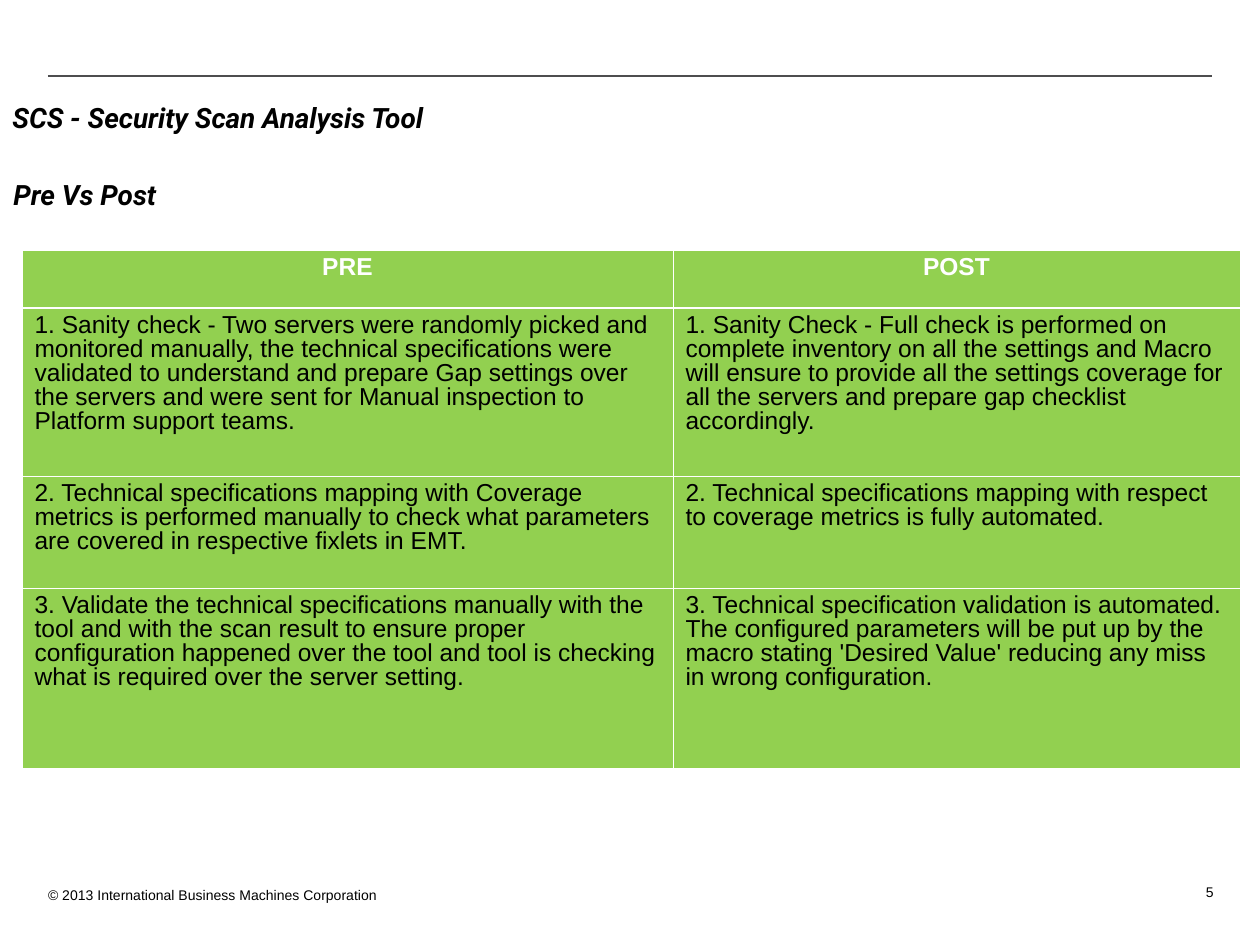
from lxml import etree
from pptx import Presentation
from pptx.dml.color import RGBColor
from pptx.enum.shapes import MSO_CONNECTOR
from pptx.enum.text import MSO_ANCHOR, PP_ALIGN
from pptx.oxml.ns import qn
from pptx.util import Emu, Pt

LEFT, CENTER, RIGHT = PP_ALIGN.LEFT, PP_ALIGN.CENTER, PP_ALIGN.RIGHT
TOP, MIDDLE = MSO_ANCHOR.TOP, MSO_ANCHOR.MIDDLE
STRAIGHT = MSO_CONNECTOR.STRAIGHT

GREEN, WHITE, BLACK, GREY = "92D050", "FFFFFF", "000000", "4D4D4F"
HEADING = dict(font="Roboto", size=16, bold=True, italic=True)

# text, (left, top, width, height) in px, format
TEXTS = [
    ("SCS - Security Scan Analysis Tool", (0, 96, 788, 45),
     dict(HEADING, anchor=MIDDLE, spacing=0.98)),
    ("Pre Vs Post", (1, 175, 1134, 63), dict(HEADING, spacing=0.9)),
    ("© 2013 International Business Machines Corporation",
     (48, 880, 421, 29), dict(size=8, side_inset=0)),
    ("5", (932, 877, 294, 34), dict(size=8, align=RIGHT)),
]
RULE = (48, 76, 1212, 76)

TABLE_AT = (22, 250)
COLUMNS = [651, 567]
ROWS = [
    (58, "PRE", "POST"),
    (168,
     "1. Sanity check - Two servers were randomly picked and monitored "
     "manually, the technical specifications were validated to understand and "
     "prepare Gap settings over the servers and were sent for Manual "
     "inspection to Platform support teams.",
     "1. Sanity Check - Full check is performed on complete inventory on all "
     "the settings and Macro will ensure to provide all the settings coverage "
     "for all the servers and prepare gap checklist accordingly."),
    (112,
     "2. Technical specifications mapping with Coverage metrics is performed "
     "manually to check what parameters are covered in respective fixlets in "
     "EMT.",
     "2. Technical specifications mapping with respect to coverage metrics is "
     "fully automated."),
    (180,
     "3. Validate the technical specifications manually with the tool and with "
     "the scan result to ensure proper configuration happened over the tool "
     "and tool is checking what is required over the server setting.",
     "3. Technical specification validation is automated. The configured "
     "parameters will be put up by the macro stating 'Desired Value' reducing "
     "any miss in wrong configuration."),
]


def px(n):
    return Emu(round(n * 914400 / 126))


def rgb(hex_colour):
    return RGBColor.from_string(hex_colour)


def write(tf, text, font="Arial", size=14, colour=BLACK, bold=False,
          italic=False, align=LEFT, spacing=1.0):
    tf.word_wrap = True
    p = tf.paragraphs[0]
    p.alignment, p.line_spacing = align, spacing
    r = p.add_run()
    r.text = text
    r.font.name, r.font.size = font, Pt(size)
    r.font.bold, r.font.italic = bold, italic
    r.font.color.rgb = rgb(colour)


def add_text(slide, text, box, anchor=TOP, side_inset=None, **fmt):
    tf = slide.shapes.add_textbox(*map(px, box)).text_frame
    tf.vertical_anchor = anchor
    if side_inset is not None:
        tf.margin_left = tf.margin_right = px(side_inset)
    write(tf, text, **fmt)


def add_rule(slide, ends):
    line = slide.shapes.add_connector(STRAIGHT, *map(px, ends))
    line.line.color.rgb, line.line.width = rgb(GREY), Pt(0.75)
    etree.SubElement(line._element.spPr, qn("a:effectLst"))


def set_borders(cell, **widths):
    """Draw white borders; widths maps L, R, T and B to points."""
    tcPr = cell._tc.get_or_add_tcPr()
    for side in "LRTB":
        ln = etree.SubElement(tcPr, qn(f"a:ln{side}"),
                              w=str(Pt(widths.get(side, 0.45))))
        fill = etree.SubElement(ln, qn("a:solidFill"))
        etree.SubElement(fill, qn("a:srgbClr"), val=WHITE)


def add_comparison(slide):
    size = sum(COLUMNS), sum(row[0] for row in ROWS)
    table = slide.shapes.add_table(len(ROWS), len(COLUMNS),
                                   *map(px, TABLE_AT + size)).table
    for column, width in zip(table.columns, COLUMNS):
        column.width = px(width)
    for i, (height, *texts) in enumerate(ROWS):
        table.rows[i].height = px(height)
        fmt = dict(colour=WHITE, bold=True, align=CENTER) if i == 0 else {}
        borders = {0: dict(B=1.47), 1: dict(T=1.47)}.get(i, {})
        for j, text in enumerate(texts):
            cell = table.cell(i, j)
            set_borders(cell, **borders)
            cell.fill.solid()
            cell.fill.fore_color.rgb = rgb(GREEN)
            write(cell.text_frame, text, spacing=0.87, **fmt)


def main():
    prs = Presentation()
    prs.slide_width, prs.slide_height = px(1260), px(945)
    s = prs.slides.add_slide(prs.slide_layouts[6])
    add_rule(s, RULE)
    add_comparison(s)
    for text, box, fmt in TEXTS:
        add_text(s, text, box, **fmt)
    prs.save("out.pptx")


if __name__ == "__main__":
    main()
